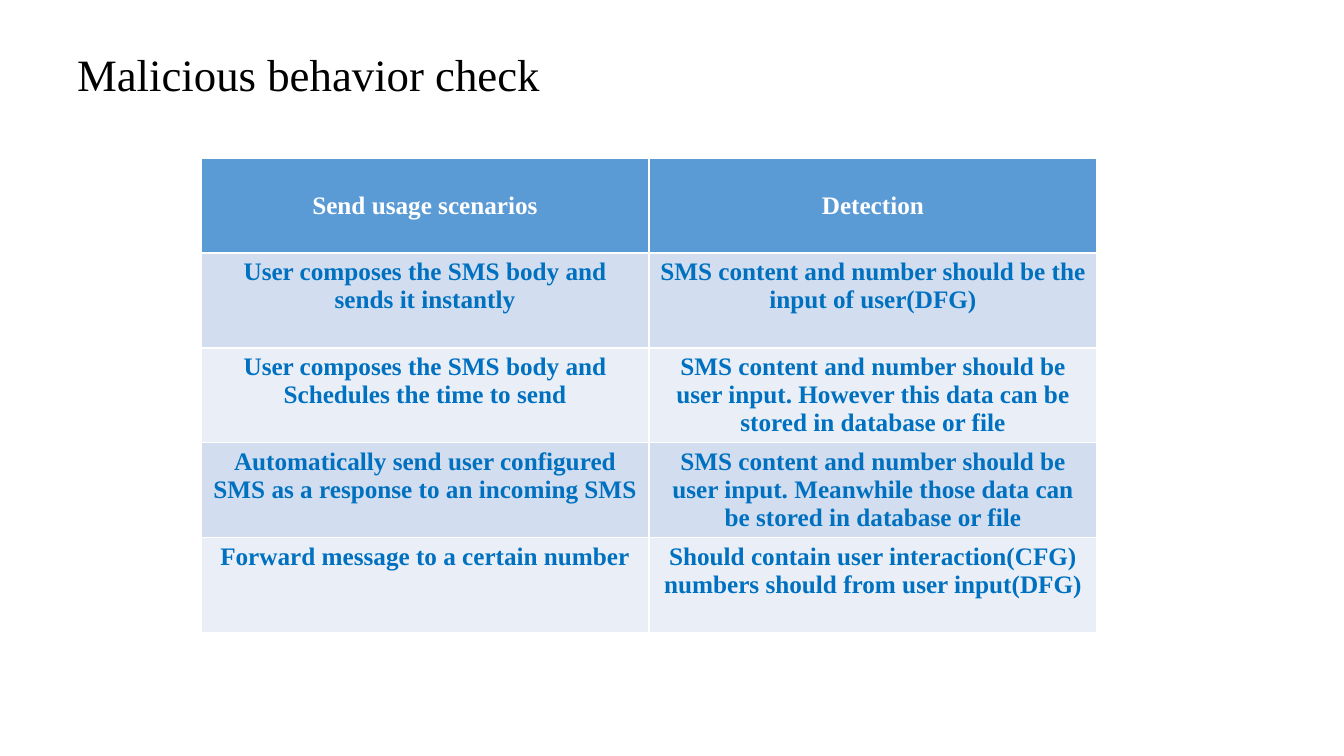
"""Build the slide that pairs SMS sending scenarios with their detection rules."""
from typing import NamedTuple

from pptx import Presentation
from pptx.dml.color import RGBColor
from pptx.enum.text import MSO_ANCHOR, MSO_AUTO_SIZE, PP_ALIGN
from pptx.util import Emu, Pt

LEFT, CENTER = PP_ALIGN.LEFT, PP_ALIGN.CENTER
TOP, MIDDLE, BOTTOM = MSO_ANCHOR.TOP, MSO_ANCHOR.MIDDLE, MSO_ANCHOR.BOTTOM
NO_AUTOFIT = MSO_AUTO_SIZE.NONE

EMU_PER_PX = 914400 / 100.8
FONT = "Times New Roman"
BLACK = RGBColor(0x00, 0x00, 0x00)
WHITE = RGBColor(0xFF, 0xFF, 0xFF)
BLUE = RGBColor(0x00, 0x70, 0xC0)
HEADER_FILL = RGBColor(0x5B, 0x9B, 0xD5)
BAND_FILLS = (RGBColor(0xD2, 0xDE, 0xEF), RGBColor(0xEA, 0xEF, 0xF7))


class Box(NamedTuple):
    """Position and size in pixels."""
    left: int
    top: int
    width: int
    height: int


class Check(NamedTuple):
    """A sending scenario and how it is detected."""
    scenario: str
    detection: str


class RowStyle(NamedTuple):
    """Look of the cells in one table row."""
    fill: RGBColor
    color: RGBColor
    anchor: MSO_ANCHOR


TITLE_BOX = Box(67, 41, 628, 65)
TABLE_BOX = Box(201, 158, 896, 475)
HEADER = Check("Send usage scenarios", "Detection")
CHECKS = (
    Check("User composes the SMS body and sends it instantly",
          "SMS content and number should be the input of user(DFG)"),
    Check("User composes the SMS body and Schedules the time to send",
          "SMS content and number should be user input. "
          "However this data can be stored in database or file"),
    Check("Automatically send user configured SMS as a response to an incoming SMS",
          "SMS content and number should be user input. "
          "Meanwhile those data can be stored in database or file"),
    Check("Forward message to a certain number",
          "Should contain user interaction(CFG) numbers should from user input(DFG)"),
)


def px(value: int) -> Emu:
    """Convert pixels to EMU."""
    return Emu(round(value * EMU_PER_PX))


def write(tf, text: str, size: int, color: RGBColor, align: PP_ALIGN, bold: bool) -> None:
    """Fill a text frame with one formatted paragraph."""
    tf.text = text
    p = tf.paragraphs[0]
    p.alignment = align
    font = p.runs[0].font
    font.name, font.size, font.bold = FONT, Pt(size), bold
    font.color.rgb = color


def add_title(s, box: Box, text: str) -> None:
    """Place and format the title placeholder."""
    sp = s.shapes.title
    sp.left, sp.top, sp.width, sp.height = map(px, box)
    tf = sp.text_frame
    write(tf, text, 32, BLACK, LEFT, False)
    tf.word_wrap = True
    tf.auto_size = NO_AUTOFIT
    tf.vertical_anchor = BOTTOM


def fill_row(cells, check: Check, style: RowStyle) -> None:
    """Write one check into a table row."""
    for cell, text in zip(cells, check):
        cell.fill.solid()
        cell.fill.fore_color.rgb = style.fill
        cell.vertical_anchor = style.anchor
        write(cell.text_frame, text, 18, style.color, CENTER, True)


def add_checks(s, box: Box) -> None:
    """Add the table of scenarios and detection rules."""
    table = s.shapes.add_table(len(CHECKS) + 1, len(HEADER), *map(px, box)).table
    header, *body = table.rows
    fill_row(header.cells, HEADER, RowStyle(HEADER_FILL, WHITE, MIDDLE))
    for i, (row, check) in enumerate(zip(body, CHECKS)):
        fill_row(row.cells, check, RowStyle(BAND_FILLS[i % 2], BLUE, TOP))


def main() -> None:
    """Build and save the presentation."""
    prs = Presentation()
    prs.slide_width, prs.slide_height = px(1344), px(756)
    s = prs.slides.add_slide(prs.slide_layouts.get_by_name("Title Only"))
    add_title(s, TITLE_BOX, "Malicious behavior check")
    add_checks(s, TABLE_BOX)
    prs.save("out.pptx")


main()
